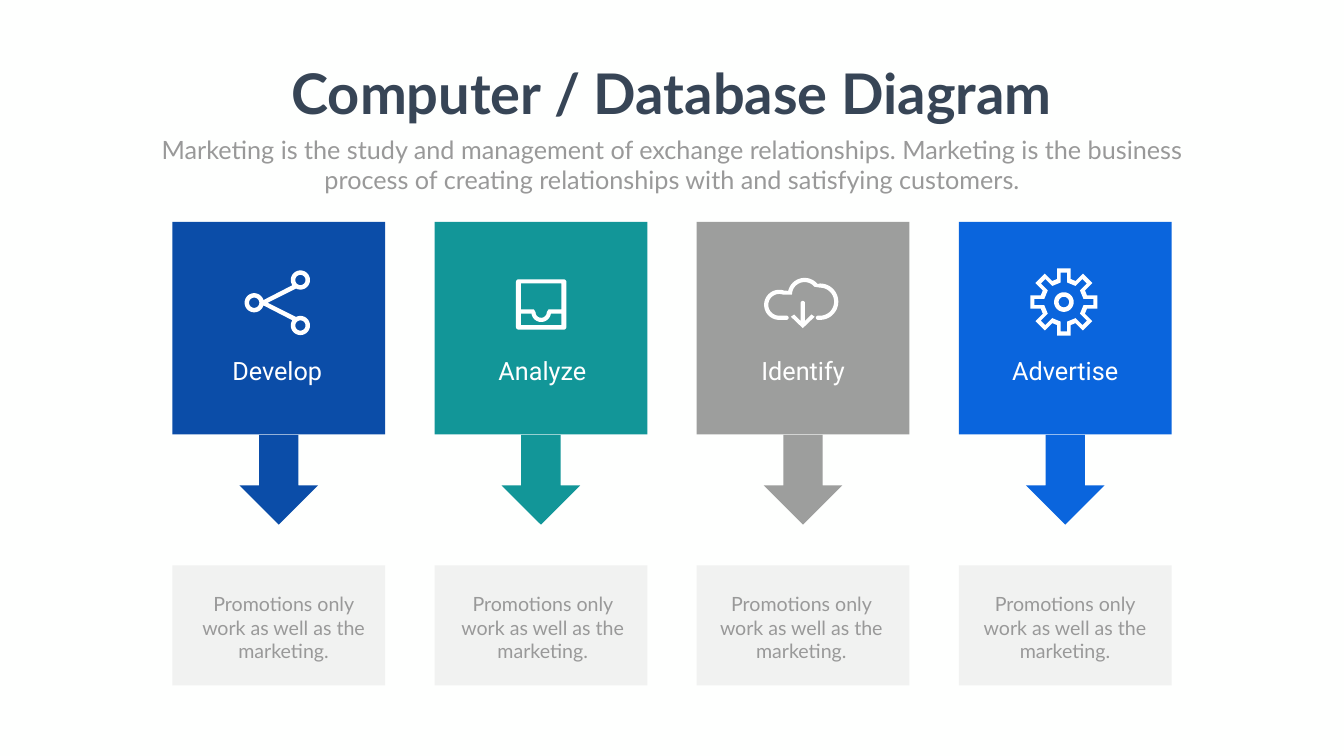
"""Build the four-step Computer / Database Diagram slide."""
import dataclasses
import math

import lxml.etree
import pptx
import pptx.dml.color
import pptx.enum.shapes
import pptx.enum.text
import pptx.oxml.ns
import pptx.util

Pt = pptx.util.Pt
MSO_SHAPE = pptx.enum.shapes.MSO_SHAPE


@dataclasses.dataclass(frozen=True)
class Theme:
    background: str = "FEFFFE"
    white: str = "FFFFFF"
    heading: str = "374556"
    muted: str = "999999"
    panel: str = "808080"
    panel_opacity: int = 10
    steps: tuple = ("0B4DA8", "129698", "9D9E9D", "0A65DD")
    body_font: str = "Lato"
    label_font: str = "Roboto"
    title_size: int = 80
    text_size: int = 36
    caption_size: int = 28


THEME = Theme()
TILE_LEFT, TILE_TOP, TILE_SIZE, TILE_PITCH = 246.24, 316.8, 303.84, 374.4
CAPTION = "Promotions only work as well as the marketing."


def rgb(code):
    return pptx.dml.color.RGBColor.from_string(code)


def paint(shape, color, opacity=100):
    shape.shadow.inherit = False
    shape.fill.solid()
    shape.fill.fore_color.rgb = rgb(color)
    shape.line.fill.background()
    if opacity < 100:
        solid = shape._element.spPr.find(".//" + pptx.oxml.ns.qn("a:srgbClr"))
        alpha = lxml.etree.SubElement(solid, pptx.oxml.ns.qn("a:alpha"))
        alpha.set("val", str(opacity * 1000))


def add_block(slide, kind, box, color, opacity=100):
    block = slide.shapes.add_shape(kind, *map(Pt, box))
    paint(block, color, opacity)


def add_text(slide, text, box, *, size, color, font, bold=False, wrap=True):
    frame = slide.shapes.add_textbox(*map(Pt, box)).text_frame
    frame.word_wrap = wrap
    frame.auto_size = pptx.enum.text.MSO_AUTO_SIZE.SHAPE_TO_FIT_TEXT
    paragraph = frame.paragraphs[0]
    paragraph.alignment = pptx.enum.text.PP_ALIGN.CENTER
    run = paragraph.add_run()
    run.text = text
    run.font.size = Pt(size)
    run.font.name = font
    run.font.bold = bold
    run.font.color.rgb = rgb(color)


def add_outline(slide, center, contours):
    placed = [[(Pt(center[0] + x), Pt(center[1] + y)) for x, y in contour]
              for contour in contours]
    builder = slide.shapes.build_freeform(*placed[0][0], scale=1.0)
    builder.add_line_segments(placed[0][1:], close=True)
    for contour in placed[1:]:
        builder.move_to(*contour[0])
        builder.add_line_segments(contour[1:], close=True)
    paint(builder.convert_to_shape(), THEME.white)


def arc(x, y, radius, start, end):
    count = max(2, round(abs(end - start) / 8))
    angles = [math.radians(start + (end - start) * i / count) for i in range(count + 1)]
    return [(x + radius * math.cos(a), y + radius * math.sin(a)) for a in angles]


def circle(x, y, radius):
    return arc(x, y, radius, 0, 360)


def teeth(tip, root, half):
    points = []
    for i in range(8):
        cos, sin = math.cos(i * math.pi / 4), math.sin(i * math.pi / 4)
        points += [(x * cos - y * sin, x * sin + y * cos)
                   for x, y in ((-half, -root), (-half, -tip), (half, -tip), (half, -root))]
    return points


def share_icon():
    hub, upper, lower = (-33, 0), (33, -32.5), (33, 32.5)
    web = ([(-13.7, 0)] + arc(*upper, 13.7, 117, -213) + arc(*hub, 13.7, -16, -344)
           + arc(*lower, 13.7, 213, -117))
    return [[web] + [circle(*node, 7.3) for node in (hub, upper, lower)]]


def inbox_icon():
    edge, corner = 36, 4
    reach = edge - corner
    frame = (arc(reach, reach, corner, 0, 90) + arc(-reach, reach, corner, 90, 180)
             + arc(-reach, -reach, corner, 180, 270) + arc(reach, -reach, corner, 270, 360))
    upper = [(-29, 7), (-29, -30), (29, -30), (29, 7), (10.5, 7)] + arc(0, 11, 8, 0, 180) + [(-10.5, 7)]
    lower = [(-29, 29.5), (-29, 13)] + arc(0, 11, 14, 172, 8) + [(29, 13), (29, 29.5)]
    return [[frame, upper, lower]]


def cloud_icon():
    cloud = ([(-21.5, 30)] + arc(-32, 8.5, 21.5, 90, 288) + arc(4.3, -6, 24, 193, 321)
             + arc(26.5, 4, 26, -90, 90) + arc(23.5, 27, 3, 90, 270)
             + arc(26.5, 4, 20, 90, -90) + arc(4.3, -6, 18, 321, 180)
             + arc(-32, 8.5, 15.5, 288, 90) + arc(-21.5, 27, 3, -90, 90))
    arrow = (arc(1.7, 6, 3.1, 180, 360) + [(4.8, 31.7), (14, 22.3), (18.7, 25.5), (1.7, 41.8),
             (-15.3, 25.5), (-10.6, 22.3), (-1.4, 31.7)])
    return [[cloud], [arrow]]


def gear_icon():
    hub = [circle(0, 0, 14), circle(0, 0, 7.5)]
    return [hub, [teeth(48, 33, 9.5), teeth(42, 28, 4.5)]]


def add_step(slide, index, label, label_shift, caption_shift, icon, icon_center):
    left = TILE_LEFT + index * TILE_PITCH
    color = THEME.steps[index]
    add_block(slide, MSO_SHAPE.RECTANGLE, (left, TILE_TOP, TILE_SIZE, TILE_SIZE), color)
    add_block(slide, MSO_SHAPE.DOWN_ARROW, (left + 95.76, 621.36, 112.32, 128.16), color)
    add_block(slide, MSO_SHAPE.RECTANGLE, (left, 807.84, TILE_SIZE, 171.36),
              THEME.panel, THEME.panel_opacity)
    for contours in icon:
        add_outline(slide, (left + icon_center[0], icon_center[1]), contours)
    add_text(slide, label, (left + label_shift, 504, 249.12, 51.12),
             size=THEME.text_size, color=THEME.white, font=THEME.label_font)
    add_text(slide, CAPTION, (left + caption_shift, 842.4, 261.36, 108.72),
             size=THEME.caption_size, color=THEME.muted, font=THEME.body_font)


def main():
    deck = pptx.Presentation()
    deck.slide_width, deck.slide_height = Pt(1919.52), Pt(1080)
    slide = deck.slides.add_slide(deck.slide_layouts[6])
    slide.background.fill.solid()
    slide.background.fill.fore_color.rgb = rgb(THEME.background)
    steps = (
        ("Develop", 25.2, 28.08, share_icon(), (149.8, 432.5)),
        ("Analyze", 29.5, 23.76, inbox_icon(), (152.3, 435)),
        ("Identify", 27.4, 18.72, cloud_icon(), (149.8, 427)),
        ("Advertise", 27.4, 20.88, gear_icon(), (150, 431.5)),
    )
    for index, step in enumerate(steps):
        add_step(slide, index, *step)
    add_text(slide, "Computer / Database Diagram", (403.2, 80.64, 1112.4, 104.4),
             size=THEME.title_size, color=THEME.heading, font=THEME.body_font,
             bold=True, wrap=False)
    add_text(slide, "Marketing is the study and management of exchange relationships. "
             "Marketing is the business process of creating relationships with and "
             "satisfying customers.", (210.24, 187.92, 1499.04, 94.32),
             size=THEME.text_size, color=THEME.muted, font=THEME.body_font)
    deck.save("out.pptx")


if __name__ == "__main__":
    main()
